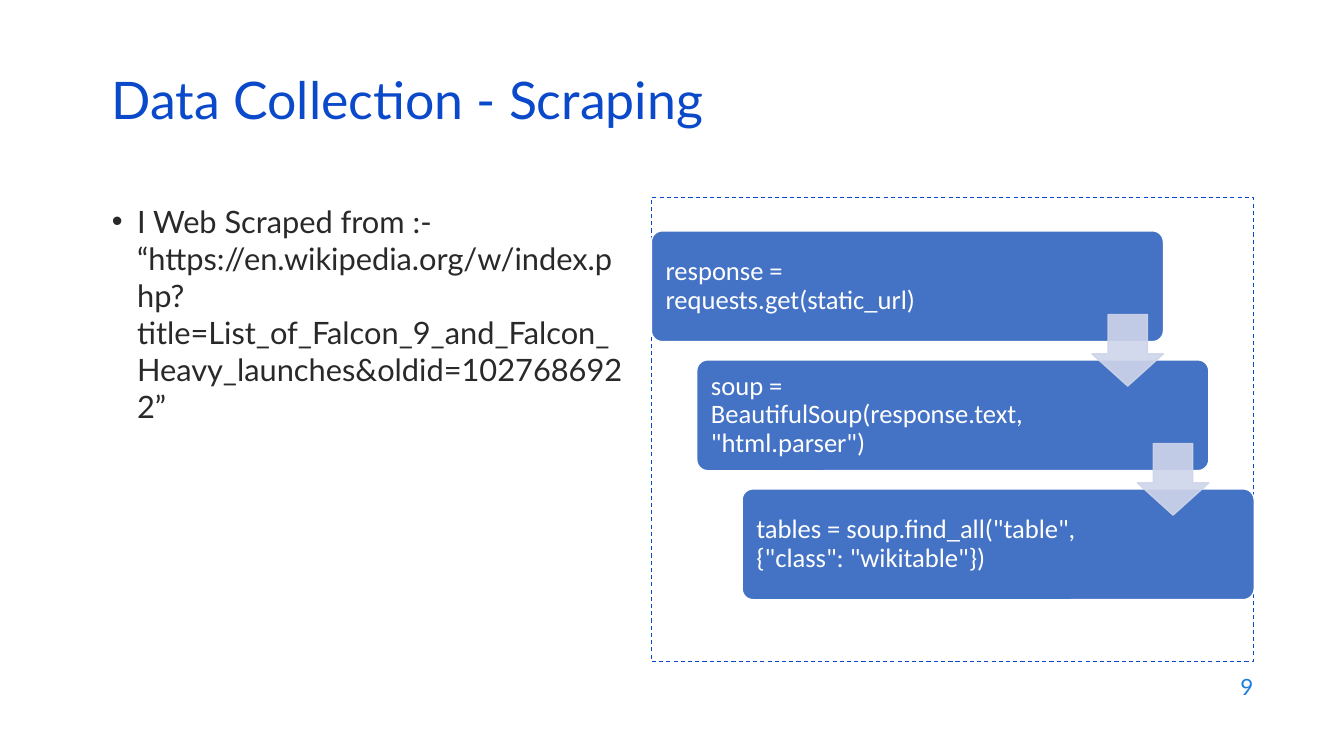
from lxml import etree
from pptx import Presentation
from pptx.dml.color import RGBColor
from pptx.enum.dml import MSO_LINE
from pptx.enum.shapes import MSO_SHAPE
from pptx.enum.text import MSO_ANCHOR, MSO_AUTO_SIZE, PP_ALIGN
from pptx.oxml.ns import qn
from pptx.util import Pt

RECTANGLE = MSO_SHAPE.RECTANGLE
ROUNDED = MSO_SHAPE.ROUNDED_RECTANGLE
DOWN_ARROW = MSO_SHAPE.DOWN_ARROW
DASH = MSO_LINE.DASH
TOP, MIDDLE = MSO_ANCHOR.TOP, MSO_ANCHOR.MIDDLE
LEFT, RIGHT = PP_ALIGN.LEFT, PP_ALIGN.RIGHT
NO_AUTOFIT = MSO_AUTO_SIZE.NONE

TITLE_BLUE = RGBColor(0x0B, 0x49, 0xCB)
NUMBER_BLUE = RGBColor(0x1C, 0x7D, 0xDB)
BODY_GREY = RGBColor(0x29, 0x29, 0x29)
STEP_BLUE = RGBColor(0x44, 0x72, 0xC4)
ARROW_BLUE = RGBColor(0xCF, 0xD5, 0xEA)
WHITE = RGBColor(0xFF, 0xFF, 0xFF)

EMU_PER_PX = 9144
STEPS = [
    "response = requests.get(static_url)",
    'soup = BeautifulSoup(response.text, "html.parser")',
    'tables = soup.find_all("table", {"class": "wikitable"})',
]
STEP_RIGHT, STEP_DOWN = 45, 128


def px(*lengths):
    return [length * EMU_PER_PX for length in lengths]


class SlideBuilder:
    heading_font = "Lato"
    step_font = "Calibri"

    def __init__(self, presentation):
        self.slide = presentation.slides.add_slide(presentation.slide_layouts[1])

    def set_text(self, shape, text, font, size, color, anchor=MIDDLE, align=LEFT, spacing=1.0):
        text_frame = shape.text_frame
        text_frame.text = text
        text_frame.word_wrap = True
        text_frame.auto_size = NO_AUTOFIT
        text_frame.vertical_anchor = anchor
        paragraph = text_frame.paragraphs[0]
        paragraph.alignment = align
        paragraph.line_spacing = spacing
        paragraph.space_before = Pt(0)
        for run in paragraph.runs:
            run.font.name = font
            run.font.size = Pt(size)
            run.font.color.rgb = color
        return paragraph

    def place(self, shape, box):
        shape.left, shape.top, shape.width, shape.height = px(*box)

    def title(self, box, text):
        shape = self.slide.shapes.title
        self.place(shape, box)
        self.set_text(shape, text, self.heading_font, 37, TITLE_BLUE, spacing=0.7)

    def bullet(self, box, text):
        shape = self.slide.placeholders[1]
        self.place(shape, box)
        paragraph = self.set_text(shape, text, self.heading_font, 22, BODY_GREY, anchor=TOP)
        properties = paragraph._p.get_or_add_pPr()
        indent = px(25)[0]
        properties.set("marL", str(indent))
        properties.set("indent", str(-indent))
        etree.SubElement(properties, qn("a:buFont")).set("typeface", "Arial")
        etree.SubElement(properties, qn("a:buChar")).set("char", "•")

    def page_number(self, box, text):
        shape = self.slide.shapes.add_textbox(*px(*box))
        self.set_text(shape, text, self.heading_font, 16, NUMBER_BLUE, align=RIGHT)

    def shape(self, kind, box, line, width, fill=None, adjustments=()):
        shape = self.slide.shapes.add_shape(kind, *px(*box))
        shape.shadow.inherit = False
        for index, value in enumerate(adjustments):
            shape.adjustments[index] = value
        if fill is None:
            shape.fill.background()
        else:
            shape.fill.solid()
            shape.fill.fore_color.rgb = fill
        shape.line.color.rgb = line
        shape.line.width = Pt(width)
        return shape

    def dashed_frame(self, box):
        self.shape(RECTANGLE, box, TITLE_BLUE, 0.75).line.dash_style = DASH

    def step(self, box, text):
        shape = self.shape(ROUNDED, box, WHITE, 1, STEP_BLUE, [0.1])
        self.set_text(shape, text, self.step_font, 19, WHITE, spacing=0.9)
        text_frame = shape.text_frame
        text_frame.margin_left, text_frame.margin_right = px(11, 127)
        text_frame.margin_top, text_frame.margin_bottom = px(11, 11)

    def arrow(self, box):
        shape = self.shape(DOWN_ARROW, box, ARROW_BLUE, 1, ARROW_BLUE, [0.55, 0.45])
        for color in shape._element.spPr.iter(qn("a:srgbClr")):
            etree.SubElement(color, qn("a:alpha")).set("val", "90000")


def main():
    presentation = Presentation()
    presentation.slide_width, presentation.slide_height = px(1333, 750)
    builder = SlideBuilder(presentation)
    builder.title((101, 76, 1150, 60), "Data Collection - Scraping")
    builder.bullet(
        (101, 196, 529, 212),
        "I Web Scraped from :- “https://en.wikipedia.org/w/index.php?"
        "title=List_of_Falcon_9_and_Falcon_Heavy_launches&oldid=1027686922”",
    )
    builder.page_number((953, 659, 300, 44), "9")
    builder.dashed_frame((646, 196, 597, 460))
    for index, text in enumerate(STEPS):
        builder.step((646 + index * STEP_RIGHT, 229 + index * STEP_DOWN, 508, 110), text)
    for index in range(len(STEPS) - 1):
        builder.arrow((1083 + index * STEP_RIGHT, 312 + index * STEP_DOWN, 71, 71))
    presentation.save("out.pptx")


if __name__ == "__main__":
    main()
